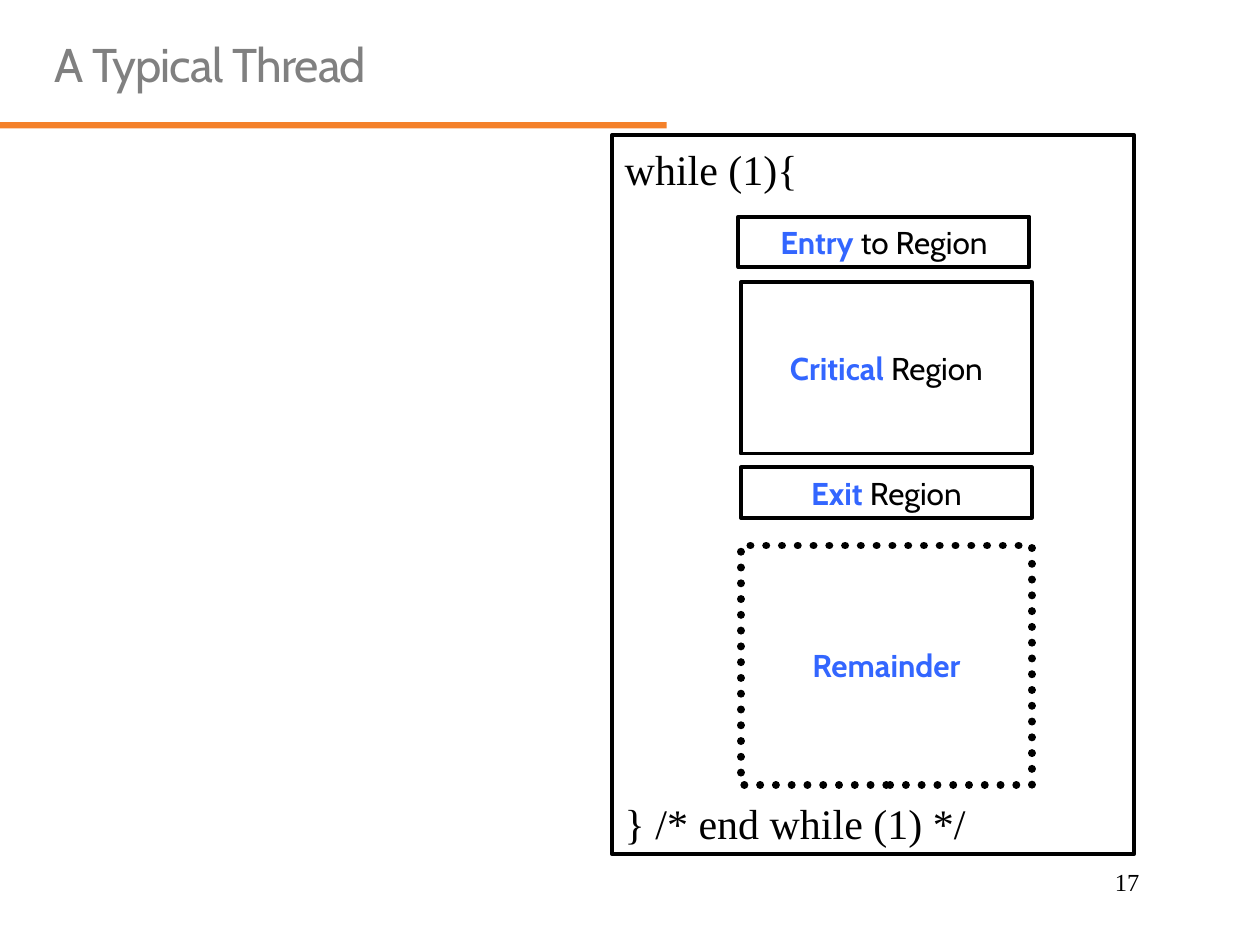
from pptx import Presentation
from pptx.dml.color import RGBColor
from pptx.enum.dml import MSO_LINE
from pptx.enum.shapes import MSO_SHAPE
from pptx.enum.text import MSO_ANCHOR, MSO_AUTO_SIZE, PP_ALIGN
from pptx.util import Inches, Pt

RECT = MSO_SHAPE.RECTANGLE
DOTS = MSO_LINE.ROUND_DOT
GROW, FIXED = MSO_AUTO_SIZE.SHAPE_TO_FIT_TEXT, MSO_AUTO_SIZE.NONE
TOP, MIDDLE = MSO_ANCHOR.TOP, MSO_ANCHOR.MIDDLE
LEFT, CENTER = PP_ALIGN.LEFT, PP_ALIGN.CENTER
SANS, SERIF = "Cabin", "Times New Roman"
BLACK, BLUE, GREY, ORANGE = "000000", "3366FF", "808080", "F4812A"


def color(code):
    """Turn a hex string into a colour."""
    return RGBColor.from_string(code)


def add_run(para, text, size, face, code, bold=False):
    """Add one formatted run to a paragraph."""
    run = para.add_run()
    run.text = text
    font = run.font
    font.size, font.name, font.bold = Pt(size), face, bold
    font.color.rgb = color(code)
    return run


def add_title(slide, box, text):
    """Place and format the title placeholder."""
    title = slide.shapes.title
    title.left, title.top, title.width, title.height = map(Inches, box)
    frame = title.text_frame
    frame.margin_left = frame.margin_right = Inches(0.07)
    frame.margin_top = frame.margin_bottom = Inches(0.04)
    frame.vertical_anchor = TOP
    para = frame.paragraphs[0]
    para.alignment, para.line_spacing = LEFT, 0.9
    run = add_run(para, text, 27, SANS, GREY)
    run.font._element.set("spc", "-50")


def add_text(slide, box, text, size, fit=FIXED):
    """Add one line of serif text."""
    frame = slide.shapes.add_textbox(*map(Inches, box)).text_frame
    frame.word_wrap = False
    frame.auto_size = fit
    add_run(frame.paragraphs[0], text, size, SERIF, BLACK)


def add_bar(slide, box):
    """Add the solid bar under the title."""
    bar = slide.shapes.add_shape(RECT, *map(Inches, box))
    bar.shadow.inherit = False
    bar.fill.solid()
    bar.fill.fore_color.rgb = color(ORANGE)
    bar.line.fill.background()


def add_frame(slide, box, width=2.25):
    """Add an unfilled rectangle with a black outline."""
    shape = slide.shapes.add_shape(RECT, *map(Inches, box))
    shape.shadow.inherit = False
    shape.fill.background()
    shape.line.color.rgb = color(BLACK)
    shape.line.width = Pt(width)
    return shape


def add_region(slide, box, key, rest, dotted=False):
    """Add one labelled region, with a dotted outline if asked."""
    shape = add_frame(slide, box, 4.5 if dotted else 2.25)
    if dotted:
        shape.line.dash_style = DOTS
        shape._element.spPr.xpath("a:ln")[0].set("cap", "rnd")
    frame = shape.text_frame
    frame.word_wrap = False
    frame.vertical_anchor = MIDDLE
    para = frame.paragraphs[0]
    para.alignment = CENTER
    add_run(para, key, 18, SANS, BLUE, True)
    if rest:
        add_run(para, rest, 18, SANS, BLACK)


def add_thread(slide, box):
    """Draw the loop with its four regions inside a box."""
    left, top, width, height = box
    add_frame(slide, box)
    add_text(slide, (left, top + 0.02, 1.57, 0.5), "while (1){", 24, GROW)
    add_text(slide, (left, top + height - 0.5, 2.95, 0.5),
             "} /* end while (1) */", 24, GROW)
    regions = [
        (1, 0.65, 0.4, "Entry", " to Region", False),
        (1.02, 1.17, 1.36, "Critical ", "Region", False),
        (1.02, 2.64, 0.4, "Exit", " Region", False),
        (1.02, 3.26, 1.9, "Remainder", "", True),
    ]
    for dx, dy, tall, key, rest, dotted in regions:
        add_region(slide, (left + dx, top + dy, 2.31, tall), key, rest, dotted)


def main():
    """Build the slide and save it."""
    deck = Presentation()
    deck.slide_width, deck.slide_height = Inches(10), Inches(7.5)
    slide = deck.slides.add_slide(deck.slide_layouts[5])
    add_title(slide, (0.36, 0.29, 4.15, 0.68), "A Typical Thread")
    add_bar(slide, (0, 0.97, 5.29, 0.05))
    add_thread(slide, (4.86, 1.07, 4.14, 5.71))
    add_text(slide, (8.75, 6.83, 0.5, 0.33), "17", 14)
    deck.save("out.pptx")


if __name__ == "__main__":
    main()
